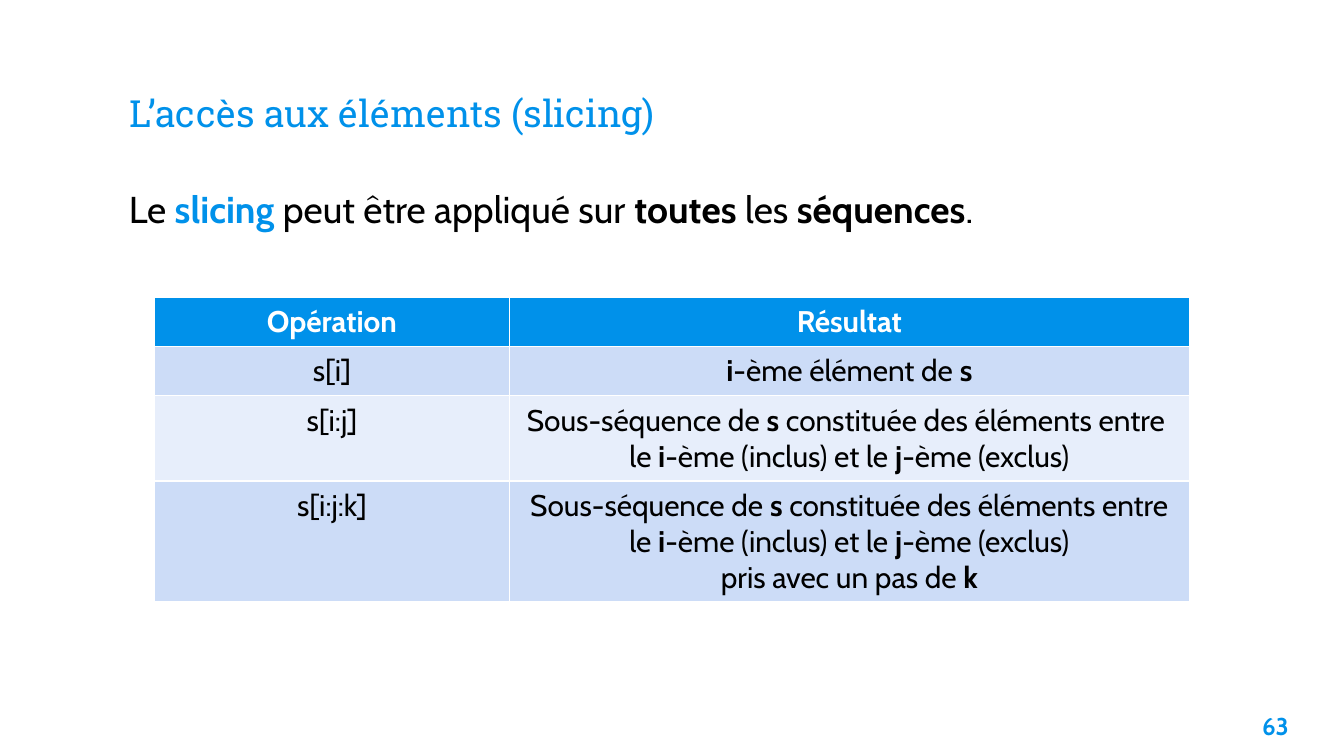
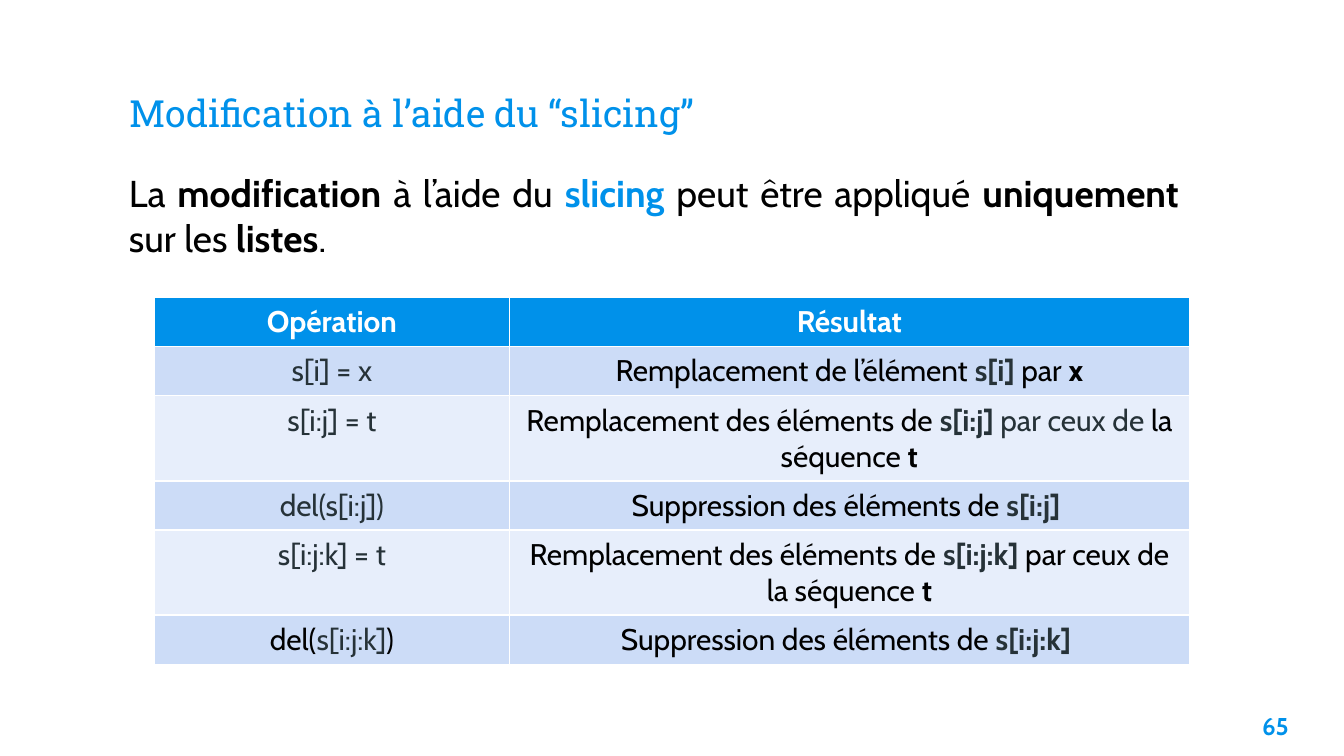
from dataclasses import dataclass

from lxml.etree import SubElement
from pptx import Presentation
from pptx.dml.color import RGBColor
from pptx.enum.text import MSO_ANCHOR, MSO_AUTO_SIZE, PP_ALIGN
from pptx.oxml.ns import qn
from pptx.util import Inches, Pt


@dataclass(frozen=True)
class Theme:
    blue: str = "0091EA"
    black: str = "000000"
    white: str = "FFFFFF"
    slate: str = "263238"
    bands: tuple = ("CCDCF7", "E7EEFB")
    head: str = "Roboto Slab"
    body: str = "Cabin"
    large: int = 20
    cell: int = 16
    small: int = 13


THEME = Theme()

PLAIN = (THEME.black, False)
BOLD = (THEME.black, True)
KEY = (THEME.blue, True)
CODE = (THEME.slate, False)
TERM = (THEME.slate, True)
HEAD = (THEME.white, True)
TITLE = (THEME.blue, False)

HEADER = ([[("Opération", HEAD)]], [[("Résultat", HEAD)]])
START = [("Sous-séquence de ", PLAIN), ("s", BOLD)]
RANGE = [("i", BOLD), ("-ème (inclus) et le ", PLAIN), ("j", BOLD)]
SWAP = ("Remplacement des éléments de ", PLAIN)
DROP = ("Suppression des éléments de ", PLAIN)

SLIDES = [
    {
        "title": "L’accès aux éléments (slicing)",
        "page": "63",
        "intro": [("Le ", PLAIN), ("slicing", KEY),
                  (" peut être appliqué sur ", PLAIN), ("toutes", BOLD),
                  (" les ", PLAIN), ("séquences", BOLD), (".", PLAIN)],
        "place": (8.6, 13.35, 79.9, 4.4),
        "align": PP_ALIGN.LEFT,
        "tall": 22.7,
        "rows": [
            ([[("s[i]", PLAIN)]],
             [[("i", BOLD), ("-ème élément de ", PLAIN), ("s", BOLD)]]),
            ([[("s[i:j]", PLAIN)]],
             [START + [(" constituée des éléments entre ", PLAIN)],
              [("le ", PLAIN)] + RANGE + [("-ème (exclus)", PLAIN)]]),
            ([[("s[i:j:k]", PLAIN)]],
             [START + [(" constituée des éléments entre", PLAIN)],
              [(" le ", PLAIN)] + RANGE + [("-ème (exclus) ", PLAIN)],
              [("pris avec un pas de ", PLAIN), ("k", BOLD)]]),
        ],
    },
    {
        "title": "Modification à l’aide du “slicing”",
        "page": "65",
        "intro": [("La ", PLAIN), ("modification", BOLD),
                  (" à l’aide du ", PLAIN), ("slicing", KEY),
                  (" peut être appliqué ", PLAIN), ("uniquement", BOLD),
                  (" sur les ", PLAIN), ("listes", BOLD), (".", PLAIN)],
        "place": (8.6, 12.15, 80.1, 7.7),
        "align": PP_ALIGN.JUSTIFY,
        "tall": 27.3,
        "rows": [
            ([[("s[i] = x", CODE)]],
             [[("Remplacement de l’élément ", PLAIN), ("s[i]", TERM),
               (" par ", PLAIN), ("x", BOLD)]]),
            ([[("s[i:j] = t", CODE)]],
             [[SWAP, ("s[i:j] ", TERM), ("par ceux de ", CODE),
               ("la séquence ", PLAIN), ("t", BOLD)]]),
            ([[("del(s[i:j])", CODE)]],
             [[DROP, ("s[i:j] ", TERM)]]),
            ([[("s[i:j:k] = t", CODE)]],
             [[SWAP, ("s[i:j:k] ", TERM),
               ("par ceux de la séquence ", PLAIN), ("t", BOLD)]]),
            ([[("del(", PLAIN), ("s[i:j:k]", CODE), (")", PLAIN)]],
             [[DROP, ("s[i:j:k] ", TERM)]]),
        ],
    },
]

WIDE, HIGH = 100, 56.25
UNIT = Inches(10) / WIDE
TOP = (8.6, 3.4, 82.8, 7.65)
FOOT = (91.9, 51.95, 6, 4.3)
GRID = (11.5, 22.1)
COLS = (26.4, 50.6)
ROW = 3.3


def size(num):
    return round(num * UNIT)


def write(frame, lines, font, points, align):
    for num, runs in enumerate(lines):
        para = frame.add_paragraph() if num else frame.paragraphs[0]
        para.alignment = align
        for text, (color, bold) in runs:
            run = para.add_run()
            run.text = text
            run.font.name = font
            run.font.size = Pt(points)
            run.font.bold = bold
            run.font.color.rgb = RGBColor.from_string(color)


def pad(frame):
    frame.margin_left = frame.margin_right = size(1)
    frame.margin_top = frame.margin_bottom = size(1)


def add_title(slide, text):
    shape = slide.shapes.title
    shape.left, shape.top, shape.width, shape.height = map(size, TOP)
    frame = shape.text_frame
    pad(frame)
    frame.word_wrap = True
    frame.auto_size = MSO_AUTO_SIZE.NONE
    frame.vertical_anchor = MSO_ANCHOR.BOTTOM
    write(frame, [[(text, TITLE)]], THEME.head, THEME.large, PP_ALIGN.LEFT)


def add_text(slide, place, runs, points, align):
    frame = slide.shapes.add_textbox(*map(size, place)).text_frame
    frame.word_wrap = True
    write(frame, [runs], THEME.body, points, align)
    return frame


def add_page(slide, text):
    frame = add_text(slide, FOOT, [(text, KEY)], THEME.small, PP_ALIGN.CENTER)
    pad(frame)
    frame.paragraphs[0].space_after = Pt(6)


def edge(cell):
    props = cell._tc.get_or_add_tcPr()
    for side in "LRTB":
        line = SubElement(props, qn(f"a:ln{side}"), w=str(Pt(1)))
        fill = SubElement(line, qn("a:solidFill"))
        SubElement(fill, qn("a:srgbClr"), val=THEME.white)


def add_grid(slide, body, tall):
    rows = [HEADER] + body
    shape = slide.shapes.add_table(
        len(rows), len(COLS), *map(size, (*GRID, sum(COLS), tall)))
    table = shape.table
    for col, width in zip(table.columns, COLS):
        col.width = size(width)
    for num, row in enumerate(rows):
        table.rows[num].height = size(ROW)
        color = THEME.bands[(num - 1) % 2] if num else THEME.blue
        for col, lines in enumerate(row):
            cell = table.cell(num, col)
            edge(cell)
            cell.fill.solid()
            cell.fill.fore_color.rgb = RGBColor.from_string(color)
            write(cell.text_frame, lines, THEME.body, THEME.cell,
                  PP_ALIGN.CENTER)
    shape.height = size(tall)


def main():
    deck = Presentation()
    deck.slide_width, deck.slide_height = size(WIDE), size(HIGH)
    for data in SLIDES:
        slide = deck.slides.add_slide(deck.slide_layouts[5])
        slide.background.fill.solid()
        slide.background.fill.fore_color.rgb = RGBColor.from_string(THEME.white)
        add_title(slide, data["title"])
        add_page(slide, data["page"])
        add_grid(slide, data["rows"], data["tall"])
        intro = add_text(slide, data["place"], data["intro"], THEME.large,
                         data["align"])
        intro.auto_size = MSO_AUTO_SIZE.SHAPE_TO_FIT_TEXT
    deck.save("out.pptx")


if __name__ == "__main__":
    main()
